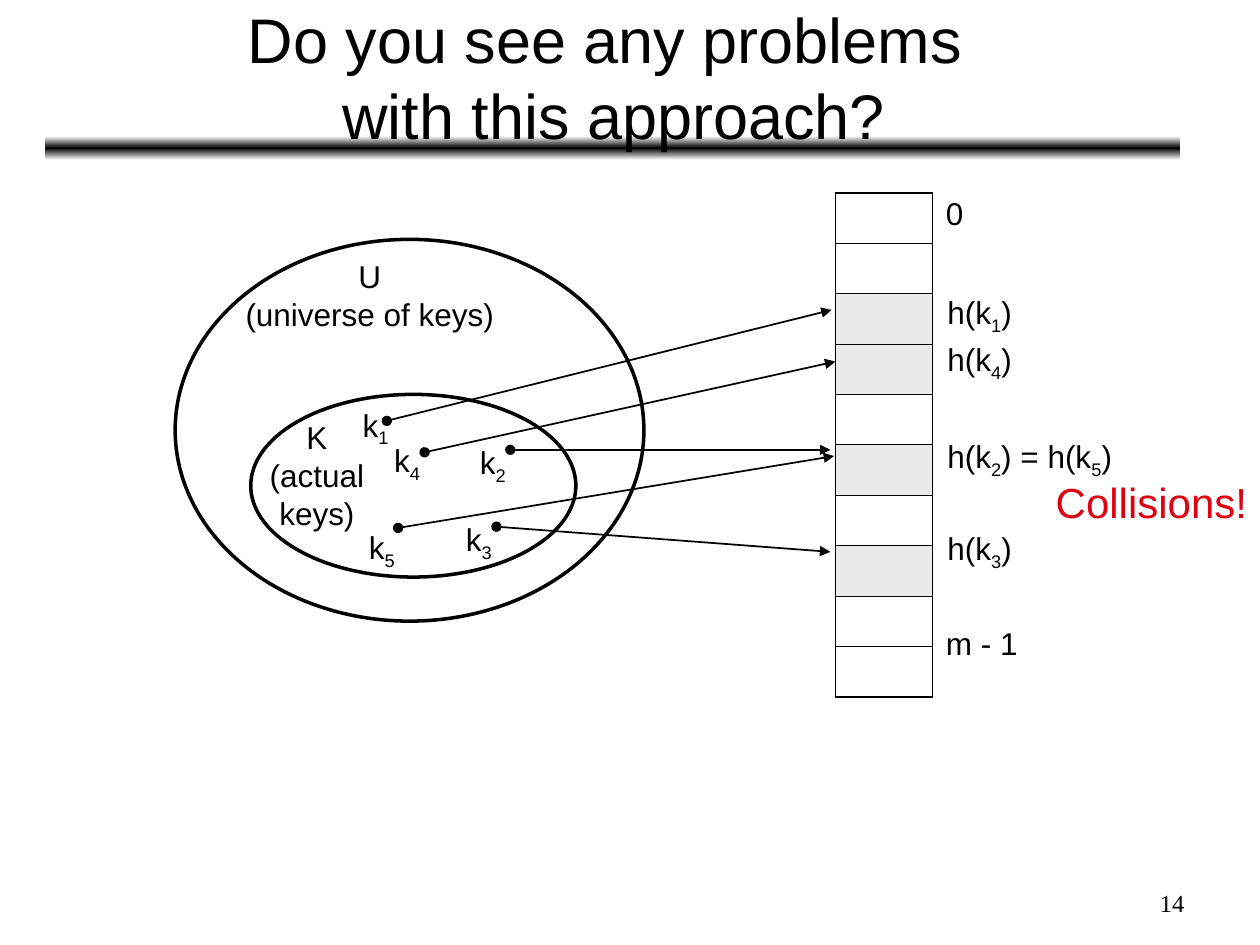
from copy import deepcopy
from dataclasses import dataclass

from lxml import etree
from pptx import Presentation
from pptx import util as u
from pptx.dml.color import RGBColor
from pptx.enum import shapes as kinds, text as txt
from pptx.oxml import ns

SCALE = 9144
LEFT, MID, RIGHT = txt.PP_ALIGN.LEFT, txt.PP_ALIGN.CENTER, txt.PP_ALIGN.RIGHT


@dataclass(frozen=True)
class Theme:
    ink: str = "000000"
    paper: str = "FFFFFF"
    used: str = "EAEAEA"
    alert: str = "DD0111"
    sans: str = "Arial"
    serif: str = "Times New Roman"
    title: int = 36
    shout: int = 24
    body: int = 18
    small: int = 14


@dataclass(frozen=True)
class Box:
    x: int
    y: int
    w: int
    h: int

    def emu(self):
        return [px(n) for n in (self.x, self.y, self.w, self.h)]


@dataclass(frozen=True)
class Label:
    box: Box
    words: str
    align: int = LEFT
    size: int = Theme.body
    hue: str = Theme.ink
    face: str = Theme.sans
    wrap: bool = False


@dataclass(frozen=True)
class Arrow:
    x1: int
    y1: int
    x2: int
    y2: int


def px(n: int) -> u.Emu:
    return u.Emu(n * SCALE)


def rgb(hue: str) -> RGBColor:
    return RGBColor.from_string(hue)


def style(thing, **values):
    for name, value in values.items():
        setattr(thing, name, value)


def add_sub(root, tag: str, **attrs):
    return etree.SubElement(root, ns.qn(tag), **attrs)


def write(frame, label: Label):
    for i, line in enumerate(label.words.split("\n")):
        para = frame.paragraphs[0] if i == 0 else frame.add_paragraph()
        para.alignment = label.align
        for j, part in enumerate(line.split("|")):
            if not part:
                continue
            run = para.add_run()
            run.text = part
            style(run.font, size=u.Pt(label.size), name=label.face)
            run.font.color.rgb = rgb(label.hue)
            if j % 2:
                run._r.get_or_add_rPr().set("baseline", "-25000")


def draw_label(slide, label: Label):
    frame = slide.shapes.add_textbox(*label.box.emu()).text_frame
    fit = txt.MSO_AUTO_SIZE.NONE if label.wrap else txt.MSO_AUTO_SIZE.SHAPE_TO_FIT_TEXT
    style(frame, word_wrap=label.wrap, auto_size=fit)
    write(frame, label)


def draw_title(slide, box: Box, words: str):
    title = slide.shapes.title
    style(title, **dict(zip(("left", "top", "width", "height"), box.emu())))
    frame = title.text_frame
    style(frame, word_wrap=True, auto_size=txt.MSO_AUTO_SIZE.NONE,
          vertical_anchor=txt.MSO_ANCHOR.MIDDLE)
    frame.text = words
    para = frame.paragraphs[0]
    para.alignment = MID
    for run in para.runs:
        style(run.font, size=u.Pt(Theme.title), name=Theme.sans)
        run.font.color.rgb = rgb(Theme.ink)


def draw_bar(slide, box: Box):
    bar = slide.shapes.add_shape(kinds.MSO_SHAPE.ROUNDED_RECTANGLE, *box.emu())
    bar.shadow.inherit = False
    bar.line.fill.background()
    bar.fill.gradient()
    bar.fill.gradient_angle = 90
    first = bar.fill.gradient_stops[0]._gs
    first.addnext(deepcopy(first))
    hues = (Theme.paper, Theme.ink, Theme.paper)
    for stop, hue, pos in zip(bar.fill.gradient_stops, hues, (0, 0.5, 1)):
        stop.color.rgb = rgb(hue)
        stop.position = pos
    slide.shapes._spTree.insert(2, bar._element)


def draw_set(slide, box: Box):
    ring = slide.shapes.add_shape(kinds.MSO_SHAPE.OVAL, *box.emu())
    ring.shadow.inherit = False
    ring.fill.background()
    ring.line.color.rgb = rgb(Theme.ink)
    ring.line.width = u.Pt(2)


def draw_arrow(slide, arrow: Arrow):
    ends = [px(n) for n in (arrow.x1, arrow.y1, arrow.x2, arrow.y2)]
    link = slide.shapes.add_connector(kinds.MSO_CONNECTOR.STRAIGHT, *ends)
    link.line.color.rgb = rgb(Theme.ink)
    link.line.width = u.Pt(1)
    line = link.line._get_or_add_ln()
    add_sub(line, "a:headEnd", type="oval")
    add_sub(line, "a:tailEnd", type="triangle")
    add_sub(link._element.spPr, "a:effectLst")


def edge(cell, side: str, width: float):
    line = add_sub(cell._tc.get_or_add_tcPr(), f"a:ln{side}", w=str(u.Pt(width)))
    add_sub(add_sub(line, "a:solidFill"), "a:srgbClr", val=Theme.ink)


def draw_slots(slide, box: Box, count: int, used: set[int]):
    table = slide.shapes.add_table(count, 1, *box.emu()).table
    style(table, first_row=False, horz_banding=False)
    thin, thick = 0.45, 1.08
    for i, row in enumerate(table.rows):
        row.height = px(box.h // count)
        cell = row.cells[0]
        cell.text_frame.paragraphs[0].font.size = u.Pt(Theme.small)
        sides = {"L": thick, "R": thick, "T": thin if i else thick,
                 "B": thin if i < count - 1 else thick}
        for side, width in sides.items():
            edge(cell, side, width)
        if i in used:
            cell.fill.solid()
            cell.fill.fore_color.rgb = rgb(Theme.used)
        else:
            cell.fill.background()


SETS = [Box(139, 190, 372, 303), Box(199, 313, 258, 145)]
ARROWS = [
    Arrow(307, 334, 660, 246),
    Arrow(337, 359, 663, 287),
    Arrow(405, 357, 659, 357),
    Arrow(316, 419, 662, 362),
    Arrow(394, 418, 659, 438),
]
KEYS = [(1, 278, 317), (4, 303, 345), (2, 371, 347), (5, 283, 414), (3, 360, 408)]
HASHES = [(1, 228), (4, 265), (3, 415)]
LABELS = [
    Label(Box(185, 199, 217, 70), "U\n(universe of keys)", MID),
    Label(Box(204, 327, 95, 100), "K\n(actual\nkeys)", MID),
    Label(Box(741, 149, 34, 40), "0"),
    Label(Box(741, 490, 77, 40), "m - 1"),
    Label(Box(742, 342, 157, 44), "h(k|2|) = h(k|5|)"),
    *(Label(Box(742, y, 71, 44), f"h(k|{n}|)") for n, y in HASHES),
    *(Label(Box(x, y, 44, 44), f"k|{n}|") for n, x, y in KEYS),
    Label(Box(828, 373, 172, 50), "Collisions!", size=Theme.shout, hue=Theme.alert),
    Label(Box(717, 700, 233, 35), "14", RIGHT, Theme.small, face=Theme.serif, wrap=True),
]


def main():
    deck = Presentation()
    style(deck, slide_width=px(1000), slide_height=px(750))
    slide = deck.slides.add_slide(deck.slide_layouts[5])
    draw_bar(slide, Box(36, 108, 901, 19))
    draw_title(slide, Box(37, 11, 900, 99), "Do you see any problems \vwith this approach?")
    for box in SETS:
        draw_set(slide, box)
    draw_slots(slide, Box(663, 153, 77, 400), 10, {2, 3, 5, 7})
    for arrow in ARROWS:
        draw_arrow(slide, arrow)
    for label in LABELS:
        draw_label(slide, label)
    deck.save("out.pptx")


if __name__ == "__main__":
    main()
